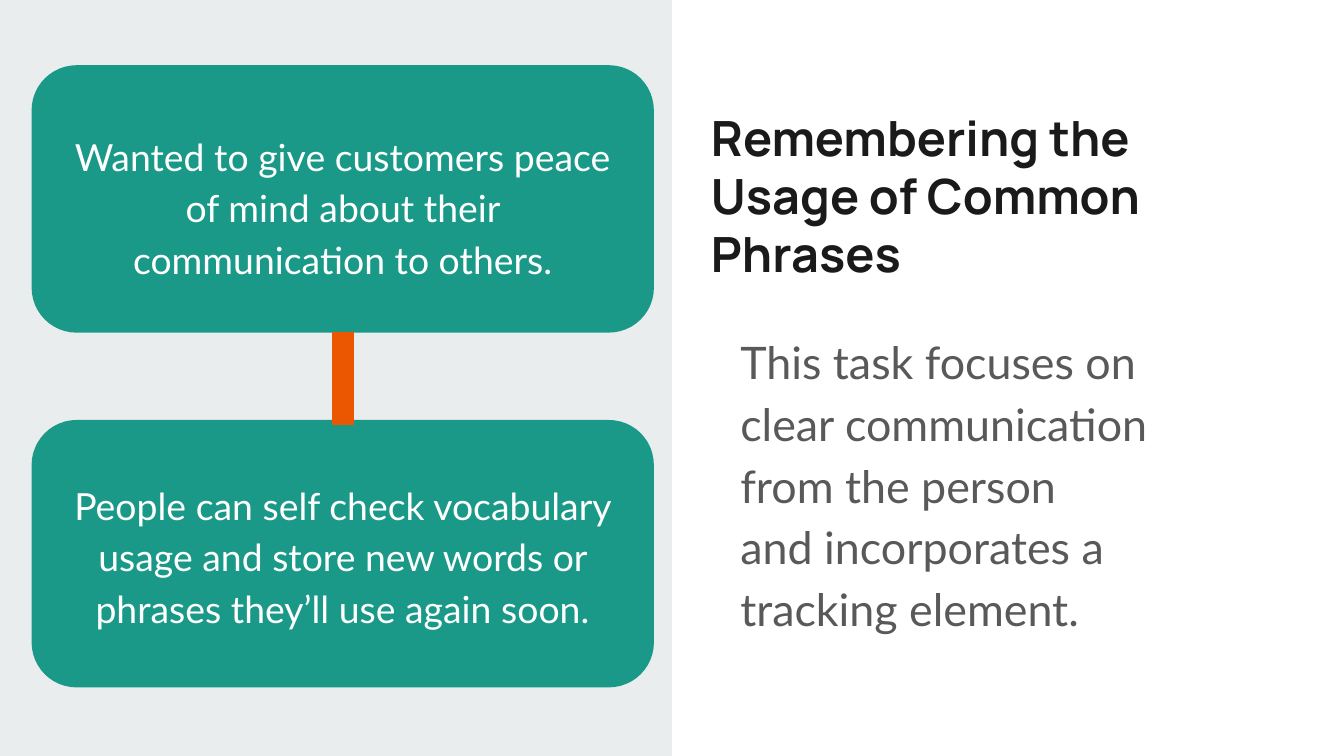
import pptx
import pptx.dml.color
import pptx.enum.shapes
import pptx.enum.text
import pptx.oxml
import pptx.util

ALIGN = pptx.enum.text.PP_ALIGN
ANCHOR = pptx.enum.text.MSO_ANCHOR
SHAPE = pptx.enum.shapes.MSO_SHAPE
COLUMNS, ROWS = 100, 56.25


def colour(code):
    return pptx.dml.color.RGBColor.from_string(code)


def write(shape, text, size, ink, font="Lato", bold=False, align=ALIGN.LEFT,
          anchor=ANCHOR.TOP, spacing=1.15, top_inset=0.1):
    """Fill a shape with one paragraph; line ends in the text become line breaks."""
    frame = shape.text_frame
    frame.word_wrap = True
    frame.auto_size = pptx.enum.text.MSO_AUTO_SIZE.NONE
    frame.vertical_anchor = anchor
    frame.margin_left = frame.margin_right = frame.margin_bottom = pptx.util.Inches(0.1)
    frame.margin_top = pptx.util.Inches(top_inset)
    para = frame.paragraphs[0]
    para.alignment = align
    para.line_spacing = spacing
    for index, line in enumerate(text.split("\n")):
        if index:
            para.add_line_break()
        span = para.add_run()
        span.text = line
        span.font.name = font
        span.font.size = pptx.util.Pt(size)
        span.font.bold = bold
        span.font.color.rgb = colour(ink)


class SlideBuilder:
    """Holds the style and the current page; lengths are grid columns and rows."""
    panel_fill, card_fill, link_ink = "E9EDEE", "1A9988", "EB5600"
    title_ink, card_ink, body_ink = "1A1A1A", "FFFFFF", "595959"

    def __init__(self, deck):
        self.deck = deck
        self.page = deck.slides.add_slide(deck.slide_layouts[5])

    def x(self, columns):
        return round(self.deck.slide_width * columns / COLUMNS)

    def y(self, rows):
        return round(self.deck.slide_height * rows / ROWS)

    def area(self, left, top, width, height):
        return self.x(left), self.y(top), self.x(width), self.y(height)

    def title(self, text, *area):
        box = self.page.shapes.title
        box.left, box.top, box.width, box.height = self.area(*area)
        write(box, text, 26, self.title_ink, font="Manrope", bold=True, spacing=1.0)

    def block(self, kind, fill, *area):
        shape = self.page.shapes.add_shape(kind, *self.area(*area))
        shape.shadow.inherit = False
        shape.fill.solid()
        shape.fill.fore_color.rgb = colour(fill)
        shape.line.fill.background()
        return shape

    def card(self, text, *area, top_inset=0.1):
        card = self.block(SHAPE.ROUNDED_RECTANGLE, self.card_fill, *area)
        card.line.color.rgb = colour(self.card_fill)
        card.line.width = pptx.util.Pt(0.75)
        write(card, text, 20, self.card_ink, align=ALIGN.CENTER,
              anchor=ANCHOR.MIDDLE, top_inset=top_inset)
        return card

    def link(self, card, column, start, end):
        line = self.page.shapes.add_connector(
            pptx.enum.shapes.MSO_CONNECTOR.STRAIGHT,
            self.x(column), self.y(start), self.x(column), self.y(end))
        line.begin_connect(card, 2)
        line.line.color.rgb = colour(self.link_ink)
        line.line.width = pptx.util.Pt(12)
        properties = line._element.spPr
        properties.append(pptx.oxml.parse_xml(
            '<a:effectLst xmlns:a="http://schemas.openxmlformats.org/drawingml/2006/main"/>'))

    def body(self, text, *area):
        box = self.page.shapes.add_textbox(*self.area(*area))
        write(box, text, 24, self.body_ink)


def main():
    deck = pptx.Presentation()
    deck.slide_width = pptx.util.Inches(10)
    deck.slide_height = pptx.util.Inches(5.625)
    builder = SlideBuilder(deck)

    # Left panel with two linked cards
    builder.block(SHAPE.RECTANGLE, builder.panel_fill, 0, 0, COLUMNS / 2, ROWS)
    left, width, height = 2.4, 46.2, 19.8
    first_top, second_top = 4.9, 31.3
    first = builder.card(
        "Wanted to give customers peace of mind about their communication to others.",
        left, first_top, width, height, top_inset=0.18)
    builder.card(
        "People can self check vocabulary usage and store new words or "
        "phrases they’ll use again soon.",
        left, second_top, width, height)
    builder.link(first, left + width / 2, first_top + height, second_top + 0.3)

    # Right side: title and explanation
    builder.title("Remembering the Usage of Common Phrases", 51.9, 7, 44.1, 5.8)
    builder.body("This task focuses on\nclear communication from the person\n"
                 "and incorporates a tracking element.", 54.1, 23.3, 39.9, 22.9)

    deck.save("out.pptx")


if __name__ == "__main__":
    main()
